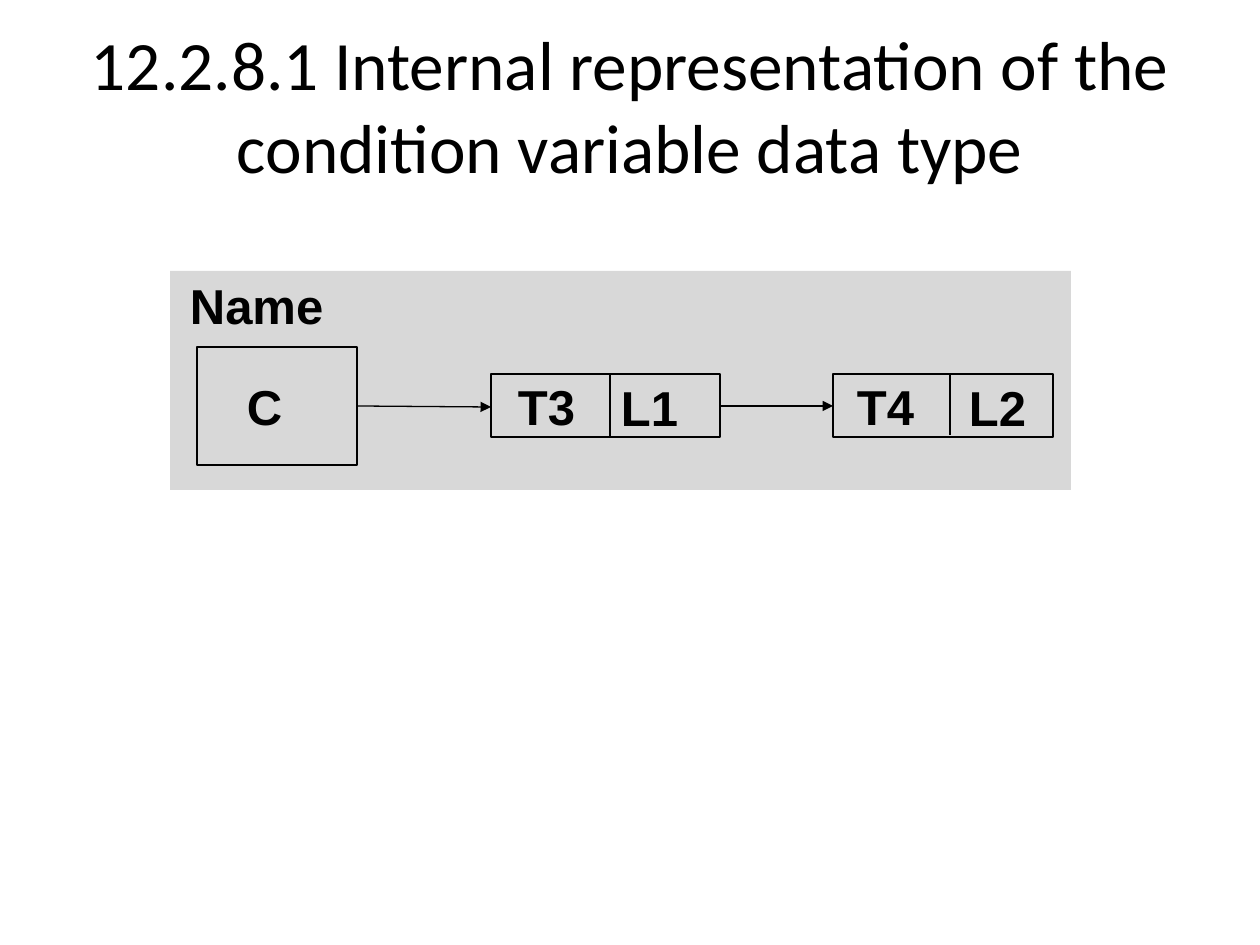
import dataclasses

import lxml.etree
import pptx
import pptx.dml.color
import pptx.enum.shapes
import pptx.enum.text
import pptx.oxml.ns
import pptx.util


@dataclasses.dataclass(frozen=True)
class Theme:
    ink: str = "000000"
    panel: str = "D8D8D8"
    title_font: str = "Calibri"
    label_font: str = "Arial"
    title_size: float = 39.6
    label_size: int = 28
    label_gap: int = 10
    line_width: float = 0.75


THEME = Theme()
PX_PER_INCH = 126


def px(length):
    return round(length * pptx.util.Inches(1) / PX_PER_INCH)


def rgb(value):
    return pptx.dml.color.RGBColor.from_string(value)


def add_text(shapes, box, words, font, size, bold, insets):
    label = shapes.add_textbox(*map(px, box))
    frame = label.text_frame
    frame.word_wrap = True
    frame.margin_left, frame.margin_top, frame.margin_right, frame.margin_bottom = map(px, insets)
    paragraph = frame.paragraphs[0]
    paragraph.text = words
    paragraph.font.name = font
    paragraph.font.size = pptx.util.Pt(size)
    paragraph.font.bold = bold
    paragraph.font.color.rgb = rgb(THEME.ink)
    return frame


def add_label(shapes, box, words):
    frame = add_text(shapes, box, words, THEME.label_font, THEME.label_size, True, (9, 5, 9, 5))
    frame.paragraphs[0].space_after = pptx.util.Pt(THEME.label_gap)


def add_rectangle(shapes, box, fill=None):
    rectangle = shapes.add_shape(pptx.enum.shapes.MSO_SHAPE.RECTANGLE, *map(px, box))
    rectangle.shadow.inherit = False
    if fill:
        rectangle.fill.solid()
        rectangle.fill.fore_color.rgb = rgb(fill)
        rectangle.line.fill.background()
    else:
        rectangle.fill.background()
        rectangle.line.color.rgb = rgb(THEME.ink)
        rectangle.line.width = pptx.util.Pt(THEME.line_width)


def add_line(shapes, start, end, arrow=False):
    line = shapes.add_connector(
        pptx.enum.shapes.MSO_CONNECTOR.STRAIGHT, *map(px, (*start, *end)))
    line.line.color.rgb = rgb(THEME.ink)
    line.line.width = pptx.util.Pt(THEME.line_width)
    properties = line._element.spPr
    if arrow:
        outline = properties.find(pptx.oxml.ns.qn("a:ln"))
        lxml.etree.SubElement(outline, pptx.oxml.ns.qn("a:tailEnd"), type="triangle")
    lxml.etree.SubElement(properties, pptx.oxml.ns.qn("a:effectLst"))


def draw_title(slide, box):
    frame = add_text(
        slide.shapes, box,
        "12.2.8.1 Internal representation of the condition variable data type",
        THEME.title_font, THEME.title_size, False, (13, 6, 13, 30))
    frame.vertical_anchor = pptx.enum.text.MSO_ANCHOR.MIDDLE
    frame.paragraphs[0].alignment = pptx.enum.text.PP_ALIGN.CENTER


def draw_queue_node(shapes, box, thread, lock, thread_inset, divider, lock_inset, divider_height):
    left, top, width, height = box
    add_rectangle(shapes, box)
    add_line(shapes, (left + divider, top), (left + divider, top + divider_height))
    add_label(shapes, (left + thread_inset, top - 2, 101, height), thread)
    add_label(shapes, (left + lock_inset, top - 1, 91, height), lock)


def draw_condition_variable(slide, box):
    left, top, width, height = box
    shapes = slide.shapes.add_group_shape().shapes
    add_rectangle(shapes, box, THEME.panel)
    add_label(shapes, (left + 11, top, 178, 63), "Name")

    add_rectangle(shapes, (left + 27, top + 76, 160, 118))
    add_label(shapes, (left + 68, top + 101, 86, 63), "C")

    node_top, node_height = top + 103, 63
    first = (left + 321, node_top, 229, node_height)
    second = (left + 663, node_top, 220, node_height)
    draw_queue_node(shapes, first, "T3", "L1", 18, 119, 121, 63)
    draw_queue_node(shapes, second, "T4", "L2", 15, 117, 127, 61)

    link = top + 135
    add_line(shapes, (left + 187, link), (first[0], link + 1), arrow=True)
    add_line(shapes, (first[0] + first[2], link), (second[0], link), arrow=True)


def main():
    presentation = pptx.Presentation()
    presentation.slide_width = px(1260)
    presentation.slide_height = px(945)
    slide = presentation.slides.add_slide(presentation.slide_layouts[6])
    draw_title(slide, (63, 38, 1134, 157))
    draw_condition_variable(slide, (170, 271, 901, 219))
    presentation.save("out.pptx")


if __name__ == "__main__":
    main()
